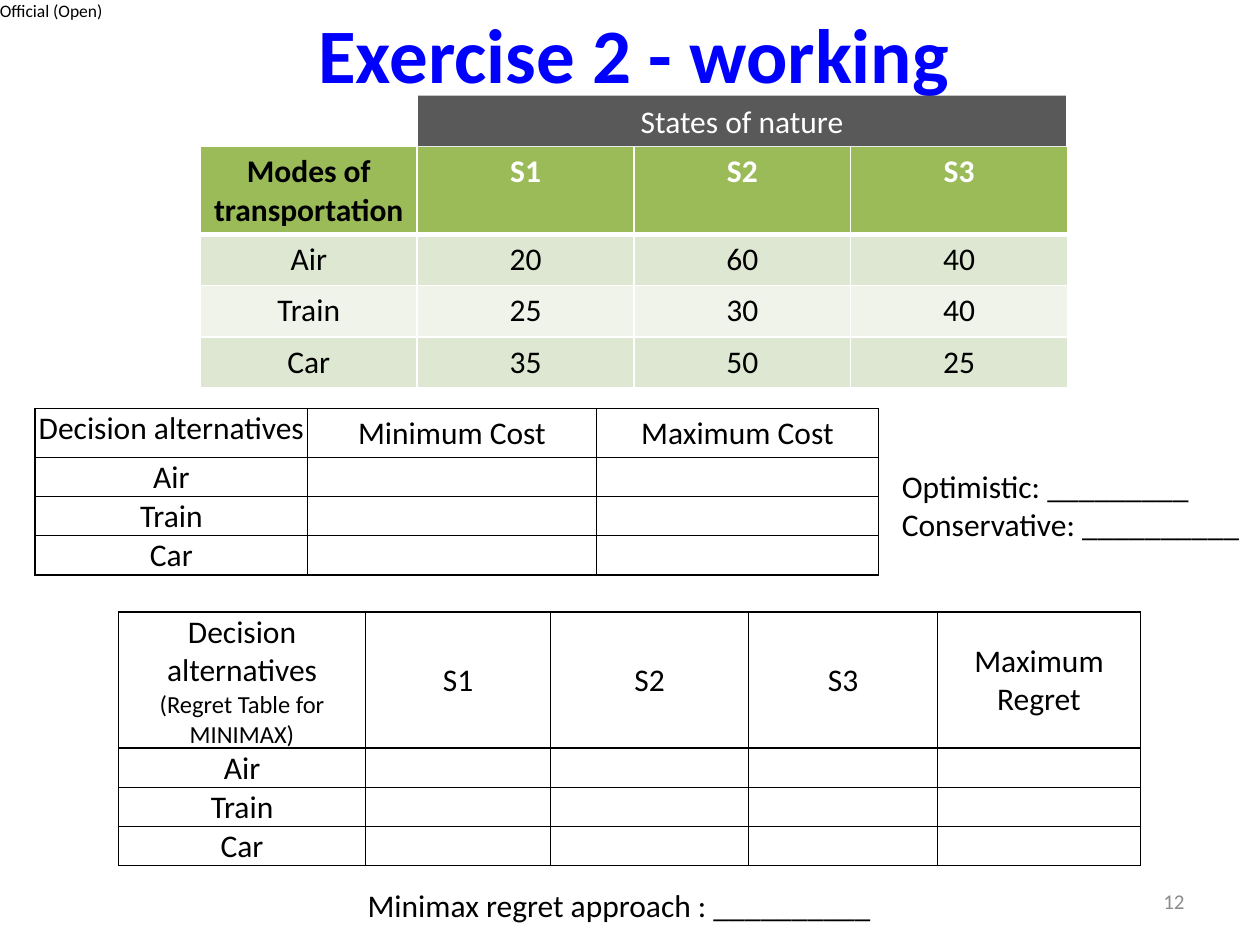
from lxml import etree
from pptx import Presentation
from pptx.dml.color import RGBColor
from pptx.enum.shapes import MSO_SHAPE
from pptx.enum.text import MSO_ANCHOR, MSO_AUTO_SIZE, PP_ALIGN
from pptx.oxml.ns import qn
from pptx.util import Cm, Pt

LEFT, CENTER, RIGHT = PP_ALIGN.LEFT, PP_ALIGN.CENTER, PP_ALIGN.RIGHT
TOP, MIDDLE = MSO_ANCHOR.TOP, MSO_ANCHOR.MIDDLE
FIT_SHAPE, NO_FIT = MSO_AUTO_SIZE.SHAPE_TO_FIT_TEXT, MSO_AUTO_SIZE.NONE
RECTANGLE = MSO_SHAPE.RECTANGLE

FONT = "Calibri"
COLORS = {
    "black": "000000",
    "white": "FFFFFF",
    "title": "0000FF",
    "number": "8C8C8C",
    "banner": "595959",
    "header": "9BBB59",
    "band_dark": "DEE7D1",
    "band_light": "EFF3EA",
}
MODES = ["Air", "Train", "Car"]
STATES = ["S1", "S2", "S3"]
COSTS = [[20, 60, 40], [25, 30, 40], [35, 50, 25]]


def rgb(name):
    return RGBColor.from_string(COLORS[name])


def write_text(frame, text, size=18, color="black", bold=False, align=LEFT, sizes=None):
    """Write one paragraph per line of text; sizes overrides size line by line."""
    for index, line in enumerate(text.split("\n")):
        para = frame.paragraphs[0] if index == 0 else frame.add_paragraph()
        para.alignment = align
        span = para.add_run()
        span.text = line
        span.font.name = FONT
        span.font.size = Pt(sizes[index] if sizes else size)
        span.font.bold = bold
        span.font.color.rgb = rgb(color)


def place(shape, left, top, width, height):
    shape.left, shape.top = Cm(left), Cm(top)
    shape.width, shape.height = Cm(width), Cm(height)


def add_label(page, text, bounds, wrap=False, anchor=TOP, margin=None, **text_format):
    box = page.shapes.add_textbox(*map(Cm, bounds))
    frame = box.text_frame
    frame.word_wrap = wrap
    frame.auto_size = NO_FIT if wrap else FIT_SHAPE
    frame.vertical_anchor = anchor
    if margin is not None:
        frame.margin_left = frame.margin_right = Cm(margin)
        frame.margin_top = frame.margin_bottom = Cm(margin)
    write_text(frame, text, **text_format)


def set_borders(cell, color, width=1, bottom=None):
    properties = cell._tc.get_or_add_tcPr()
    for side in ("L", "R", "T", "B"):
        points = bottom if side == "B" and bottom else width
        line = etree.SubElement(properties, qn("a:ln" + side), w=str(Pt(points)))
        fill = etree.SubElement(line, qn("a:solidFill"))
        etree.SubElement(fill, qn("a:srgbClr"), val=COLORS[color])


def add_grid(page, left, top, widths, heights):
    """Add a table without any built-in banding and return it."""
    frame = page.shapes.add_table(
        len(heights), len(widths), Cm(left), Cm(top), Cm(sum(widths)), Cm(sum(heights)))
    table = frame.table
    table.first_row = table.horz_banding = False
    for column, width in zip(table.columns, widths):
        column.width = Cm(width)
    for row, height in zip(table.rows, heights):
        row.height = Cm(height)
    return table


def add_payoff_table(page):
    table = add_grid(page, 4.04, 2.95, [4.37] * 4, [1.75] + [1.03] * 3)
    rows = [["Modes of transportation"] + STATES]
    rows += [[mode] + costs for mode, costs in zip(MODES, COSTS)]
    for row, values in enumerate(rows):
        header = row == 0
        fill = "header" if header else "band_dark" if row % 2 else "band_light"
        for column, value in enumerate(values):
            cell = table.cell(row, column)
            set_borders(cell, "white", bottom=3 if header else None)
            cell.fill.solid()
            cell.fill.fore_color.rgb = rgb(fill)
            color = "white" if header and column else "black"
            write_text(cell.text_frame, str(value), color=color, bold=header, align=CENTER)


def add_worksheet(page, left, top, widths, header_height, headings, first_anchor, note=None):
    """Add an outlined table with a row to fill in for each mode."""
    table = add_grid(page, left, top, widths, [header_height] + [0.79] * len(MODES))
    blanks = [""] * (len(headings) - 1)
    rows = [headings] + [[mode] + blanks for mode in MODES]
    for row, values in enumerate(rows):
        for column, value in enumerate(values):
            cell = table.cell(row, column)
            cell.margin_left = cell.margin_right = cell.margin_top = Cm(0.02)
            cell.margin_bottom = 0
            set_borders(cell, "black")
            cell.fill.background()
            if row == 0:
                cell.vertical_anchor = MIDDLE if column else first_anchor
            if value:
                write_text(cell.text_frame, value, align=CENTER,
                           sizes=[18, 14] if "\n" in value else None)


def add_banner(page):
    box = page.shapes.add_shape(RECTANGLE, *map(Cm, (8.43, 1.93, 13.06, 1.02)))
    box.shadow.inherit = False
    box.fill.solid()
    box.fill.fore_color.rgb = rgb("banner")
    box.line.fill.background()
    box.text_frame.word_wrap = True
    box.text_frame.vertical_anchor = TOP
    write_text(box.text_frame, "States of nature", color="white", align=CENTER)


def main():
    deck = Presentation()
    deck.slide_width, deck.slide_height = Cm(25.4), Cm(19.05)
    page = deck.slides.add_slide(deck.slide_layouts[5])

    # Title, classification and page number
    title = page.shapes.title
    place(title, 1.35, 0, 22.86, 3.18)
    title.text_frame.vertical_anchor = TOP
    title.text_frame.auto_size = NO_FIT
    write_text(title.text_frame, "Exercise 2 - working", size=44, color="title",
               bold=True, align=CENTER)
    add_label(page, "Official (Open)", (0, 0, 2.16, 0.43), margin=0, size=10)
    add_label(page, "12", (18.21, 17.65, 5.92, 1.02), wrap=True, anchor=MIDDLE,
              size=12, color="number", align=RIGHT)

    # Worksheets and answer lines
    add_worksheet(page, 0.71, 8.23, [5.49, 5.82, 5.69], 0.99,
                  ["Decision alternatives", "Minimum Cost", "Maximum Cost"], TOP)
    add_worksheet(page, 2.39, 12.34, [4.98, 3.73, 3.99, 3.81, 4.09], 2.74,
                  ["Decision alternatives\n(Regret Table for MINIMAX)", *STATES,
                   "Maximum Regret"], MIDDLE)
    add_label(page, "Optimistic: _________\nConservative: __________",
              (17.93, 9.3, 7.54, 1.8))
    add_label(page, "Minimax regret approach : __________", (7.16, 17.73, 10.8, 1.02))

    # Cost of each mode under each state
    add_payoff_table(page)
    add_banner(page)

    deck.save("out.pptx")


if __name__ == "__main__":
    main()
